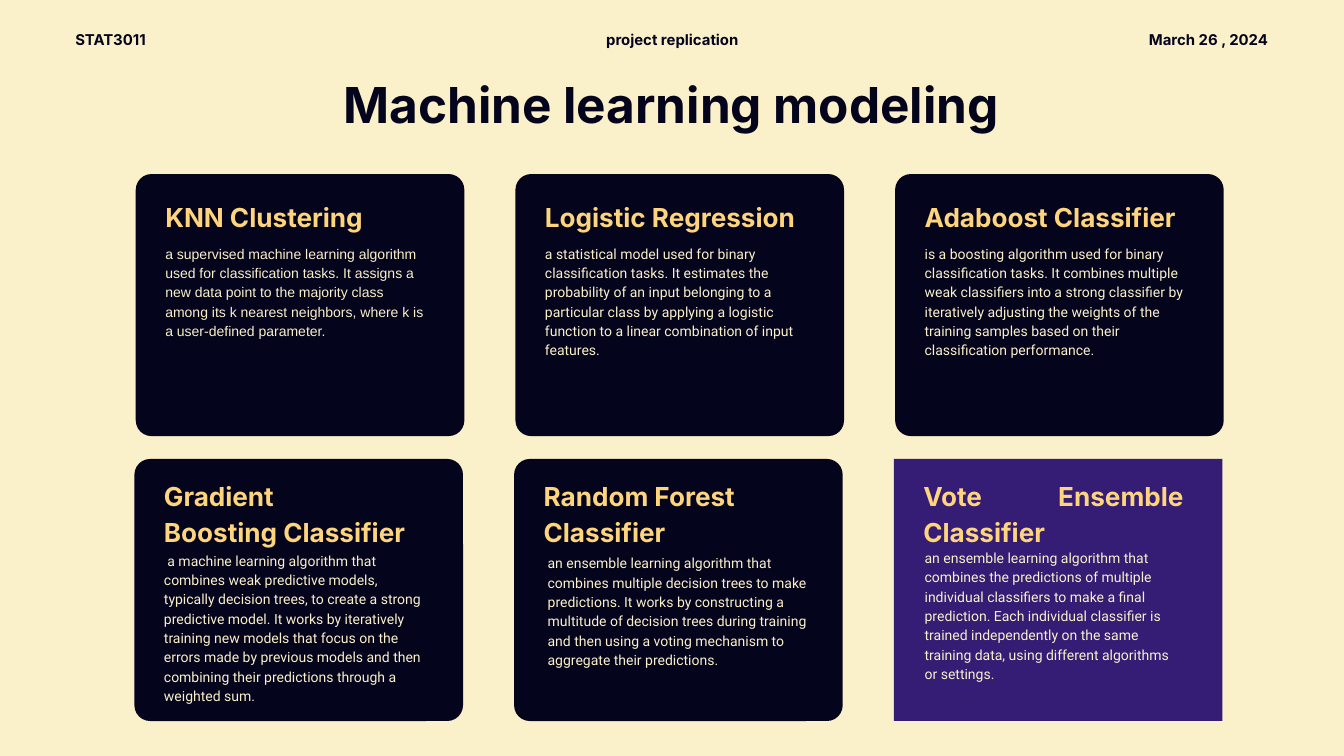
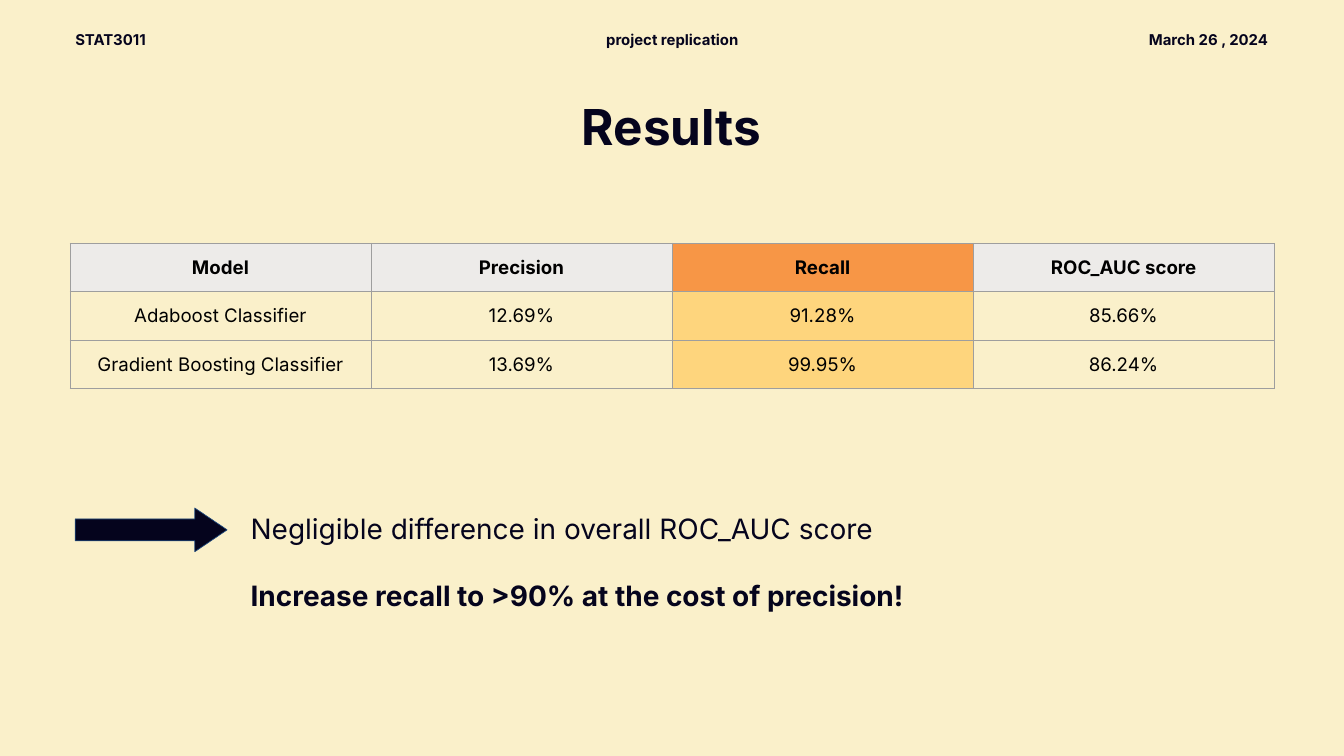
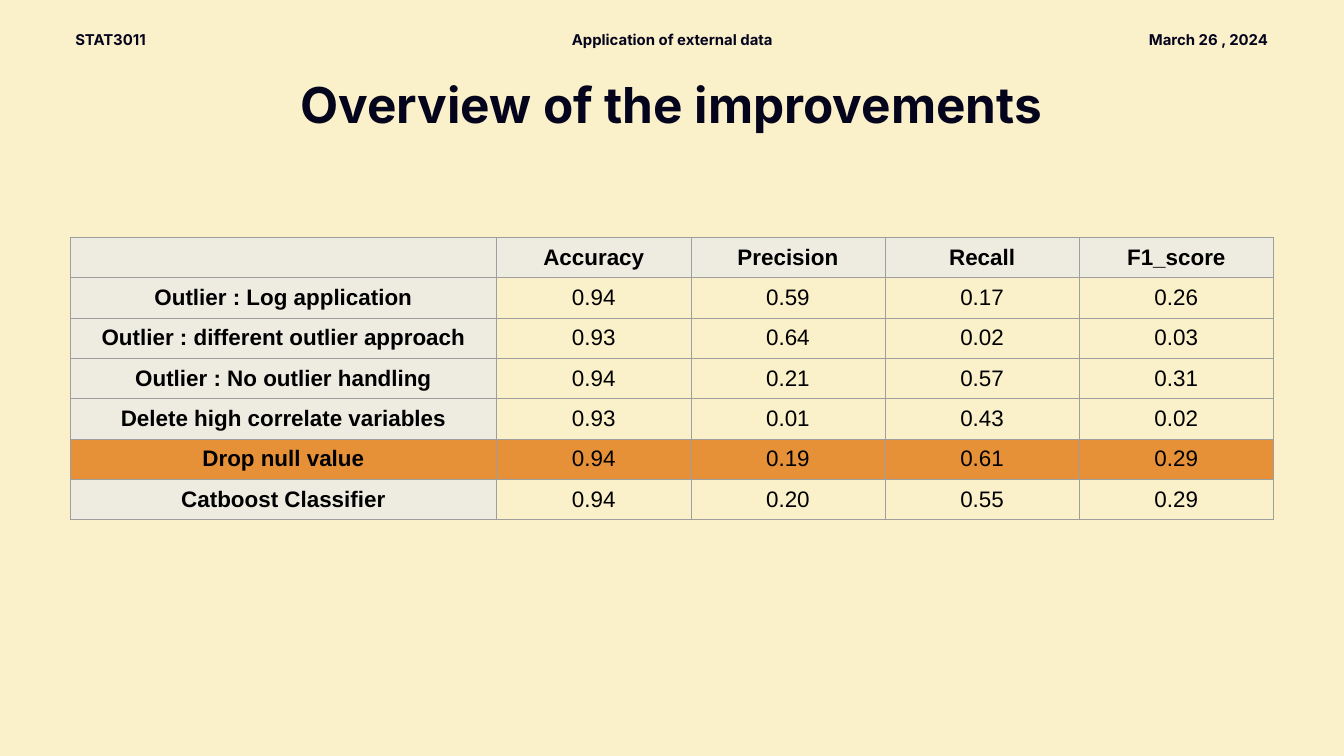
from lxml.etree import SubElement
from pptx import Presentation
from pptx.dml.color import RGBColor
from pptx.enum.shapes import MSO_SHAPE as SHAPE
from pptx.enum.text import MSO_ANCHOR as ANCHOR, MSO_AUTO_SIZE as AUTO, PP_ALIGN as ALIGN
from pptx.oxml.ns import qn
from pptx.util import Inches, Pt

COLORS = {
    "cream": "FAF0CA",
    "navy": "05041D",
    "gold": "FED57D",
    "purple": "351C75",
    "orange": "F79646",
    "amber": "E69138",
    "gray": "EDEBE9",
    "stone": "EEECE1",
    "border": "9E9E9E",
    "blue": "1F497D",
    "black": "000000",
}

CARDS = [
    (["KNN Clustering"], "Arial", 0.44, 1.02,
     "a supervised machine learning algorithm used for classification tasks. It assigns a new data "
     "point to the majority class among its k nearest neighbors, where k is a user-defined parameter."),
    (["Logistic Regression"], "Roboto", 0.44, 1.02,
     "a statistical model used for binary classification tasks. It estimates the probability of an "
     "input belonging to a particular class by applying a logistic function to a linear combination "
     "of input features."),
    (["Adaboost Classifier"], "Roboto", 0.44, 1.02,
     "is a boosting algorithm used for binary classification tasks. It combines multiple weak "
     "classifiers into a strong classifier by iteratively adjusting the weights of the training "
     "samples based on their classification performance."),
    (["Gradient", "Boosting Classifier"], "Roboto", 0.44, 1.35,
     " a machine learning algorithm that combines weak predictive models, typically decision trees, "
     "to create a strong predictive model. It works by iteratively training new models that focus on "
     "the errors made by previous models and then combining their predictions through a weighted sum."),
    (["Random Forest", "Classifier"], "Roboto", 0.5, 1.39,
     "an ensemble learning algorithm that combines multiple decision trees to make predictions. It "
     "works by constructing a multitude of decision trees during training and then using a voting "
     "mechanism to aggregate their predictions."),
    (["Vote Ensemble\nClassifier"], "Roboto", 0.46, 1.31,
     "an ensemble learning algorithm that combines the predictions of multiple individual classifiers "
     "to make a final prediction. Each individual classifier is trained independently on the same "
     "training data, using different algorithms or settings."),
]

RESULTS = [
    ["Model", "Precision", "Recall", "ROC_AUC score"],
    ["Adaboost Classifier", "12.69%", "91.28%", "85.66%"],
    ["Gradient Boosting Classifier", "13.69%", "99.95%", "86.24%"],
]

IMPROVEMENTS = [
    ["", "Accuracy", "Precision", "Recall", "F1_score"],
    ["Outlier : Log application", "0.94", "0.59", "0.17", "0.26"],
    ["Outlier : different outlier approach", "0.93", "0.64", "0.02", "0.03"],
    ["Outlier : No outlier handling", "0.94", "0.21", "0.57", "0.31"],
    ["Delete high correlate variables", "0.93", "0.01", "0.43", "0.02"],
    ["Drop null value", "0.94", "0.19", "0.61", "0.29"],
    ["Catboost Classifier", "0.94", "0.20", "0.55", "0.29"],
]


def rgb(name):
    return RGBColor.from_string(COLORS[name])


class Deck:
    def __init__(self):
        self.prs = Presentation()
        self.prs.slide_width = Inches(20)
        self.prs.slide_height = Inches(11.25)
        fill = self.prs.slide_master.background.fill
        fill.solid()
        fill.fore_color.rgb = rgb("cream")
        self.s = None

    def slide(self, title, section, title_top=1.27):
        self.s = self.prs.slides.add_slide(self.prs.slide_layouts[5])
        sp = self.s.shapes.title
        sp.left, sp.top, sp.width, sp.height = map(Inches, (1.12, title_top, 17.75, 0.71))
        self.fill_text(sp.text_frame, [title], 53, bold=True, align=ALIGN.CENTER, spacing=0.8)
        header = [(1.12, 1.72, "STAT3011", ALIGN.LEFT),
                  (8.03, 3.95, section, ALIGN.CENTER),
                  (16.88, 1.99, "March 26 , 2024", ALIGN.RIGHT)]
        for x, w, text, align in header:
            self.text(x, 0.35, w, 0.27, [text], 16, bold=True, align=align, spacing=1.4)

    def add_run(self, p, text, size, font, color, bold):
        r = p.add_run()
        r.text = text
        r.font.size = Pt(size)
        r.font.name = font
        r.font.bold = bold
        r.font.color.rgb = rgb(color)

    def fill_text(self, tf, paragraphs, size, font="Inter", color="navy", bold=False,
                  align=ALIGN.LEFT, spacing=1.0):
        tf.word_wrap = True
        tf.auto_size = AUTO.NONE
        tf.vertical_anchor = ANCHOR.TOP
        tf.margin_left = tf.margin_top = tf.margin_right = tf.margin_bottom = 0
        for i, text in enumerate(paragraphs):
            p = tf.add_paragraph() if i else tf.paragraphs[0]
            p.alignment = align
            p.line_spacing = spacing
            for j, line in enumerate(text.split("\n")):
                if j:
                    p.add_line_break()
                self.add_run(p, line, size, font, color, bold)

    def text(self, x, y, w, h, paragraphs, size, **style):
        tf = self.s.shapes.add_textbox(*map(Inches, (x, y, w, h))).text_frame
        self.fill_text(tf, paragraphs, size, **style)
        return tf

    def shape(self, kind, x, y, w, h, fill, line=None, adjust=()):
        sp = self.s.shapes.add_shape(kind, *map(Inches, (x, y, w, h)))
        sp.shadow.inherit = False
        sp.fill.solid()
        sp.fill.fore_color.rgb = rgb(fill)
        if line:
            sp.line.color.rgb = rgb(line)
            sp.line.width = Pt(0.75)
        else:
            sp.line.fill.background()
        for i, value in enumerate(adjust):
            sp.adjustments[i] = value

    def border(self, cell):
        tc_pr = cell._tc.get_or_add_tcPr()
        for i, side in enumerate(("lnL", "lnR", "lnT", "lnB")):
            ln = SubElement(tc_pr, qn("a:" + side), w=str(Pt(0.75)))
            solid = SubElement(ln, qn("a:solidFill"))
            SubElement(solid, qn("a:srgbClr"), val=COLORS["border"])
            tc_pr.insert(i, ln)

    def table(self, x, y, widths, row_height, rows, size, font, fill_of, bold_of):
        frame = self.s.shapes.add_table(len(rows), len(widths), *map(
            Inches, (x, y, sum(widths), row_height * len(rows))))
        table = frame.table
        table.first_row = table.horz_banding = False
        for column, width in zip(table.columns, widths):
            column.width = Inches(width)
        for i, row in enumerate(rows):
            for j, text in enumerate(row):
                cell = table.cell(i, j)
                cell.vertical_anchor = ANCHOR.MIDDLE
                cell.margin_left = cell.margin_right = Inches(0.1)
                cell.margin_top = cell.margin_bottom = Inches(0.1)
                fill = fill_of(i, j)
                if fill:
                    cell.fill.solid()
                    cell.fill.fore_color.rgb = rgb(fill)
                else:
                    cell.fill.background()
                self.border(cell)
                p = cell.text_frame.paragraphs[0]
                p.alignment = ALIGN.CENTER
                if text:
                    self.add_run(p, text, size, font, "black", bold_of(i, j))

    def card(self, x, y, heading_dy, heading, font, body_dx, body_dy, body, last):
        if last:
            self.shape(SHAPE.RECTANGLE, x, y, 4.89, 3.9, "purple")
        else:
            self.shape(SHAPE.ROUNDED_RECTANGLE, x, y, 4.89, 3.9, "navy", adjust=[0.06])
        self.text(x + 0.44, y + heading_dy, 3.87, 0.5 * len(heading), heading, 28,
                  color="gold", bold=True, align=ALIGN.JUSTIFY, spacing=1.15)
        self.text(x + body_dx, y + body_dy, 3.87, 2.29, [body], 15,
                  font=font, color="cream", spacing=1.15)


def modeling(deck):
    deck.slide("Machine learning modeling", "project replication")
    card_rows = [(2.02, 2.59, 0.34), (2, 6.83, 0.25)]
    for i, card in enumerate(CARDS):
        left, top, heading_dy = card_rows[i // 3]
        deck.card(left + 5.65 * (i % 3), top, heading_dy, *card, last=i == len(CARDS) - 1)


def results(deck):
    deck.slide("Results", "project replication", title_top=1.6)

    def fill_of(i, j):
        recall = j == 2
        if i == 0:
            return "orange" if recall else "gray"
        return "gold" if recall else None

    deck.table(1.04, 3.62, [4.48] * 4, 0.72, RESULTS, 20, "Inter", fill_of,
               lambda i, j: i == 0)
    deck.shape(SHAPE.RIGHT_ARROW, 1.12, 7.56, 2.26, 0.65, "navy", "blue", [0.5, 0.74])
    tf = deck.text(3.73, 7.61, 14.8, 2.27, ["Negligible difference in overall ROC_AUC score"], 30)
    p = tf.add_paragraph()
    p.space_before = Pt(36)
    deck.add_run(p, "Increase recall to >90% at the cost of precision!", 30, "Inter", "navy", True)


def improvements(deck):
    deck.slide("Overview of the improvements", "Application of external data")

    def fill_of(i, j):
        if IMPROVEMENTS[i][0] == "Drop null value":
            return "amber"
        return "stone" if i == 0 or j == 0 else None

    deck.table(1.04, 3.53, [6.35] + [2.89] * 4, 0.6, IMPROVEMENTS, 24, "Arial", fill_of,
               lambda i, j: i == 0 or j == 0)


def main():
    deck = Deck()
    modeling(deck)
    results(deck)
    improvements(deck)
    deck.prs.save("out.pptx")


if __name__ == "__main__":
    main()
